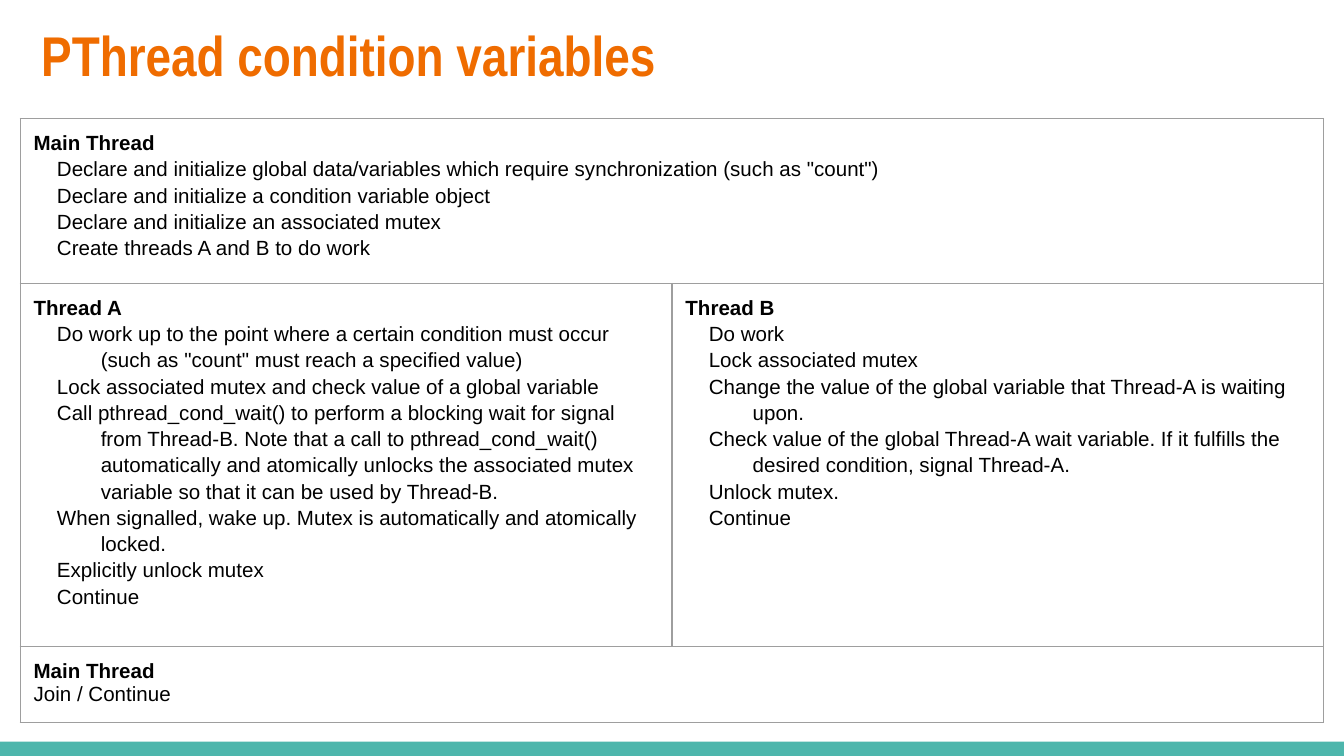
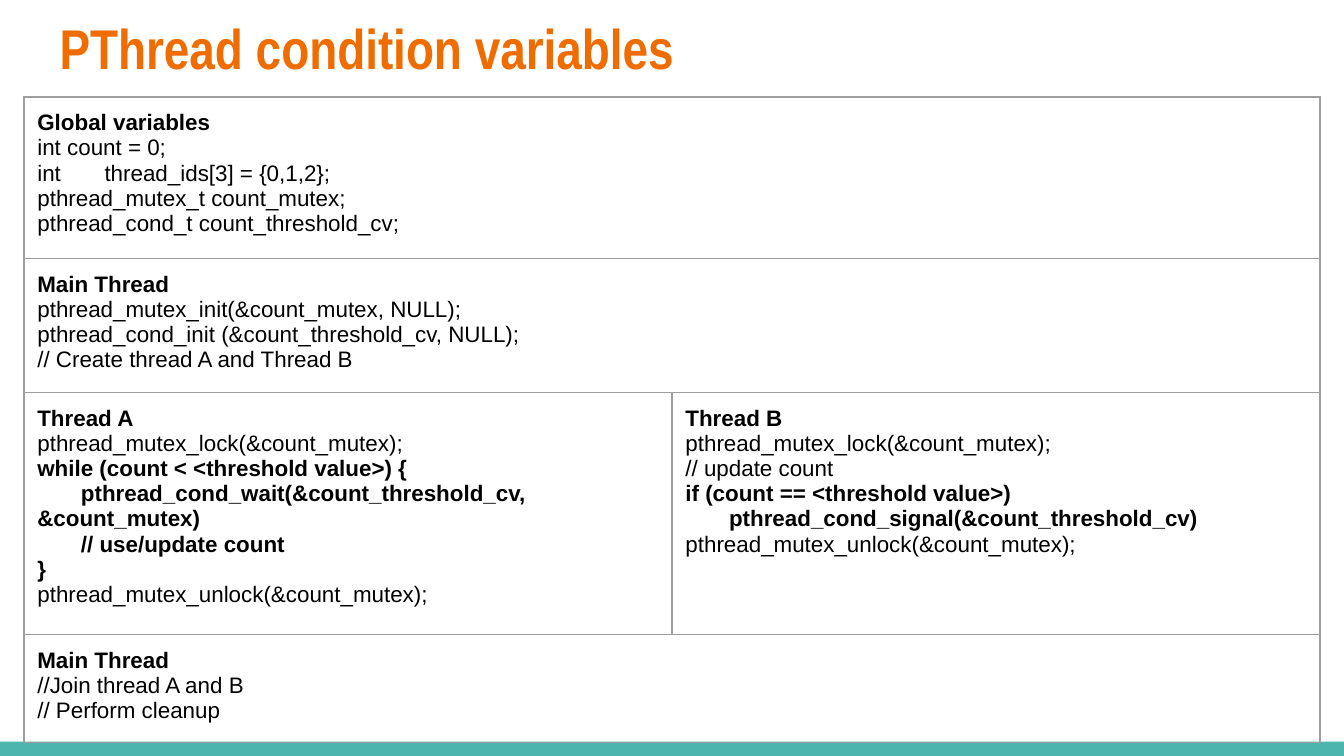
import dataclasses

import lxml.etree
import pptx
import pptx.dml.color
import pptx.enum.shapes
import pptx.enum.text
import pptx.oxml.ns
import pptx.util

Pt = pptx.util.Pt
RGB = pptx.dml.color.RGBColor.from_string
qn = pptx.oxml.ns.qn


@dataclasses.dataclass(frozen=True)
class Theme:
    title: str = "EF6C00"
    band: str = "4DB6AC"
    ink: str = "000000"
    rule: str = "9E9E9E"
    head_font: str = "Arial Narrow"
    body_font: str = "Arial"
    head_size: float = 30
    prose_size: float = 11
    code_size: float = 12
    rule_width: float = 0.75
    inset: float = 7.2


@dataclasses.dataclass(frozen=True)
class Style:
    bold: bool = False
    left: float = 0
    first: float = 0
    space: float = None
    tab: float = None


THEME = Theme()
WIDE, HIGH, BAND = 720, 405, 7.6
TITLE = "PThread condition variables"

HEAD = Style(bold=True)
BOLD = Style(bold=True)
NEST = Style(bold=True, first=23.35)
CODE = Style()
DECL = Style(tab=29.35)
STEP = Style(left=36, first=-23.5, space=1.15)


def steps(head, *lines):
    return [(HEAD, head)] + [(STEP, line) for line in lines]


def code(head, *lines):
    """Pair plain strings with the code style; keep given pairs."""
    return [(HEAD, head)] + [
        (CODE, line) if isinstance(line, str) else line for line in lines
    ]


# A row with a single cell spans both columns.
PLAN = [
    (86.4, [steps(
        "Main Thread",
        'Declare and initialize global data/variables which require '
        'synchronization (such as "count")',
        "Declare and initialize a condition variable object",
        "Declare and initialize an associated mutex",
        "Create threads A and B to do work",
    )]),
    (30.2, [
        steps(
            "Thread A",
            "Do work up to the point where a certain condition must occur "
            '(such as "count" must reach a specified value)',
            "Lock associated mutex and check value of a global variable",
            "Call pthread_cond_wait() to perform a blocking wait for signal "
            "from Thread-B. Note that a call to pthread_cond_wait() "
            "automatically and atomically unlocks the associated mutex "
            "variable so that it can be used by Thread-B.",
            "When signalled, wake up. Mutex is automatically and atomically "
            "locked.",
            "Explicitly unlock mutex",
            "Continue",
        ),
        steps(
            "Thread B",
            "Do work",
            "Lock associated mutex",
            "Change the value of the global variable that Thread-A is "
            "waiting upon.",
            "Check value of the global Thread-A wait variable. If it "
            "fulfills the desired condition, signal Thread-A.",
            "Unlock mutex.",
            "Continue",
        ),
    ]),
    (30.2, [code("Main Thread", "Join / Continue")]),
]

LOCK = "pthread_mutex_lock(&count_mutex);"
UNLOCK = "pthread_mutex_unlock(&count_mutex);"
LISTING = [
    (83.5, [code(
        "Global variables",
        "int count = 0;",
        (DECL, "int\tthread_ids[3] = {0,1,2};\n"
               "pthread_mutex_t count_mutex;\n"
               "pthread_cond_t count_threshold_cv;"),
    )]),
    (69.1, [code(
        "Main Thread",
        "pthread_mutex_init(&count_mutex, NULL);\n"
        "pthread_cond_init (&count_threshold_cv, NULL);",
        "// Create thread A and Thread B",
    )]),
    (124.6, [
        code(
            "Thread A",
            LOCK,
            (BOLD, "while (count < <threshold value>) {"),
            (NEST, "pthread_cond_wait(&count_threshold_cv, &count_mutex)"),
            (NEST, "// use/update count"),
            (BOLD, "}"),
            UNLOCK,
        ),
        code(
            "Thread B",
            LOCK,
            "// update count",
            (BOLD, "if (count == <threshold value>)"),
            (NEST, "pthread_cond_signal(&count_threshold_cv)"),
            UNLOCK,
        ),
    ]),
    (55.4, [code("Main Thread", "//Join thread A and B", "// Perform cleanup")]),
]


def set_font(para, name, size, color, bold):
    font = para.font
    font.name, font.size, font.bold = name, Pt(size), bold
    font.color.rgb = RGB(color)


def set_inset(area):
    """Give a text frame or a cell the same margin on every side."""
    area.margin_left = area.margin_right = Pt(THEME.inset)
    area.margin_top = area.margin_bottom = Pt(THEME.inset)


def add_title(slide, text, box):
    frame = slide.shapes.add_textbox(*map(Pt, box)).text_frame
    frame.word_wrap = True
    frame.vertical_anchor = pptx.enum.text.MSO_ANCHOR.TOP
    set_inset(frame)
    para = frame.paragraphs[0]
    para.text = text
    set_font(para, THEME.head_font, THEME.head_size, THEME.title, True)


def add_band(slide, box):
    kind = pptx.enum.shapes.MSO_SHAPE.RECTANGLE
    band = slide.shapes.add_shape(kind, *map(Pt, box))
    band.shadow.inherit = False
    band.fill.solid()
    band.fill.fore_color.rgb = RGB(THEME.band)
    band.line.fill.background()


def set_border(cell):
    props = cell._tc.get_or_add_tcPr()
    for place, side in enumerate(("lnL", "lnR", "lnT", "lnB")):
        line = lxml.etree.Element(qn("a:" + side), w=str(Pt(THEME.rule_width)))
        fill = lxml.etree.SubElement(line, qn("a:solidFill"))
        lxml.etree.SubElement(fill, qn("a:srgbClr"), val=THEME.rule)
        props.insert(place, line)


def set_indent(para, style):
    props = para._p.get_or_add_pPr()
    props.set("marL", str(Pt(style.left)))
    props.set("indent", str(Pt(style.first)))
    if style.tab:
        tabs = lxml.etree.SubElement(props, qn("a:tabLst"))
        lxml.etree.SubElement(tabs, qn("a:tab"), pos=str(Pt(style.tab)), algn="l")
    if style.space:
        para.line_spacing = style.space


def fill_cell(cell, lines, size):
    frame = cell.text_frame
    for place, (style, text) in enumerate(lines):
        para = frame.add_paragraph() if place else frame.paragraphs[0]
        para.text = text
        set_indent(para, style)
        set_font(para, THEME.body_font, size, THEME.ink, style.bold)


def add_grid(slide, rows, box, size):
    """Draw rows of (height, cells) in two equal columns."""
    table = slide.shapes.add_table(len(rows), 2, *map(Pt, box)).table
    table.first_row = table.horz_banding = False
    for col in table.columns:
        col.width = Pt(box[2] / 2)
    for cell in table.iter_cells():
        set_inset(cell)
        cell.fill.background()
        set_border(cell)
    for place, (height, cells) in enumerate(rows):
        table.rows[place].height = Pt(height)
        if len(cells) == 1:
            table.cell(place, 0).merge(table.cell(place, 1))
        for col, lines in enumerate(cells):
            fill_cell(table.cell(place, col), lines, size)


def add_page(deck, title_box, rows, top, side, size):
    """Add a slide whose table keeps an equal margin on each side."""
    slide = deck.slides.add_slide(deck.slide_layouts[6])
    add_band(slide, (0, HIGH - BAND, WIDE, BAND))
    add_title(slide, TITLE, title_box)
    tall = sum(height for height, _ in rows)
    add_grid(slide, rows, (side, top, WIDE - 2 * side, tall), size)


def main():
    deck = pptx.Presentation()
    deck.slide_width, deck.slide_height = Pt(WIDE), Pt(HIGH)
    add_page(deck, (15, 3.6, 671, 44), PLAN, 63.5, 10.8, THEME.prose_size)
    add_page(deck, (24.8, 0, 671, 33), LISTING, 52, 12.8, THEME.code_size)
    deck.save("out.pptx")


if __name__ == "__main__":
    main()
